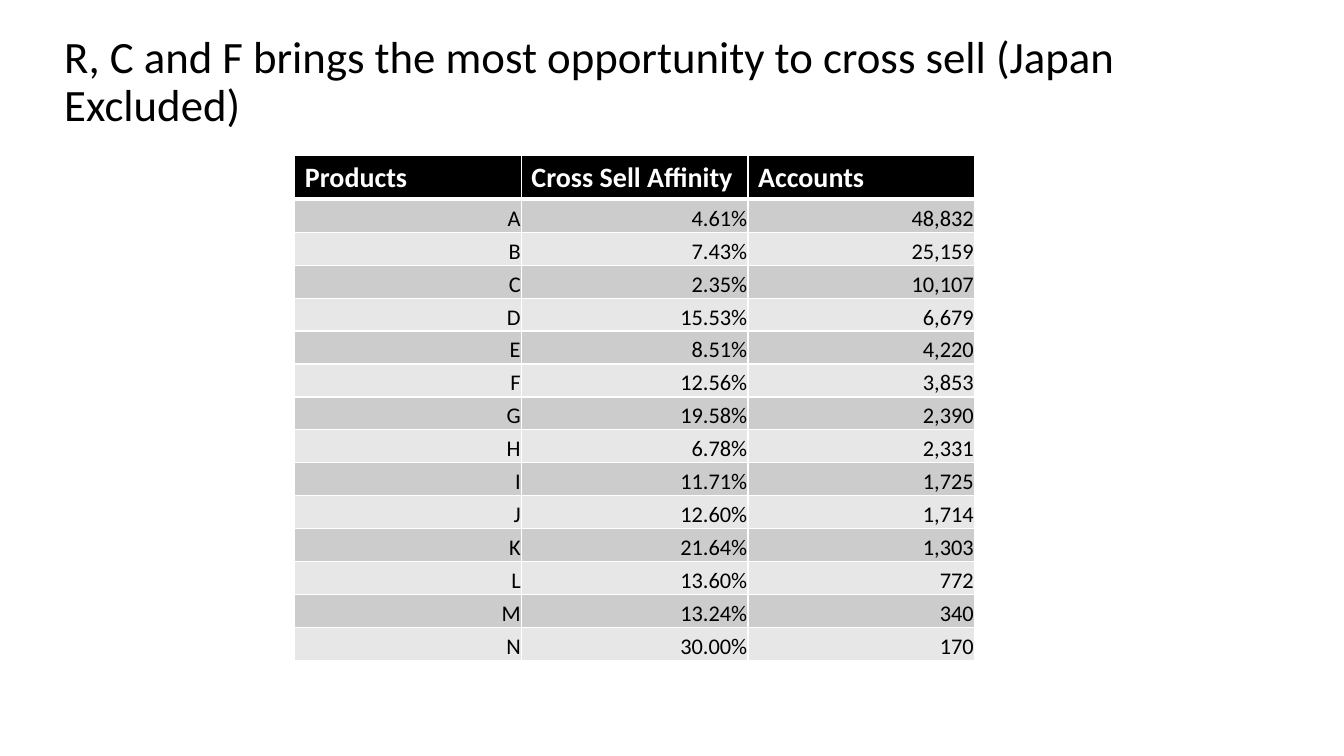
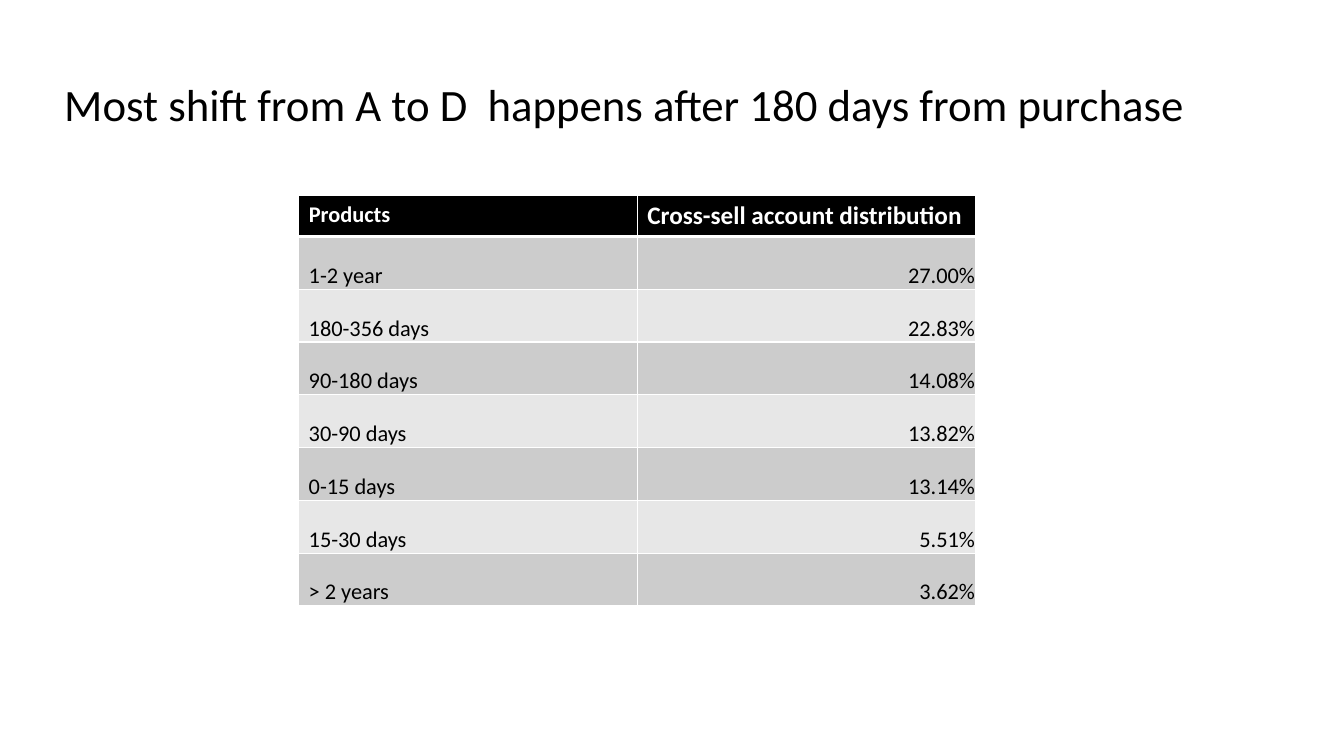
from lxml.etree import SubElement
from pptx import Presentation
from pptx.dml.color import RGBColor
from pptx.enum.text import MSO_ANCHOR, PP_ALIGN
from pptx.oxml.ns import qn
from pptx.util import Cm, Pt

COLOURS = {
    "text": "000000",
    "header": "000000",
    "header_text": "FFFFFF",
    "odd_row": "CCCCCC",
    "even_row": "E7E7E7",
    "border": "FFFFFF",
}
FONT = "Calibri"
TITLE_SIZE = 32
BODY_SIZE = 16
THIN, THICK = 1, 3
INDENT = Cm(0.25)
TITLE_FRAME = {"word_wrap": True, "vertical_anchor": MSO_ANCHOR.MIDDLE}
HEADER_CELL = {"vertical_anchor": MSO_ANCHOR.TOP}
BODY_CELL = {
    "vertical_anchor": MSO_ANCHOR.BOTTOM,
    "margin_left": Cm(0.02),
    "margin_top": Cm(0.02),
    "margin_right": Cm(0.02),
    "margin_bottom": Cm(0),
}
LABEL_CELL = {**BODY_CELL, "margin_left": INDENT}

AFFINITY = [
    ("A", "4.61%", "48,832"),
    ("B", "7.43%", "25,159"),
    ("C", "2.35%", "10,107"),
    ("D", "15.53%", "6,679"),
    ("E", "8.51%", "4,220"),
    ("F", "12.56%", "3,853"),
    ("G", "19.58%", "2,390"),
    ("H", "6.78%", "2,331"),
    ("I", "11.71%", "1,725"),
    ("J", "12.60%", "1,714"),
    ("K", "21.64%", "1,303"),
    ("L", "13.60%", "772"),
    ("M", "13.24%", "340"),
    ("N", "30.00%", "170"),
]
DISTRIBUTION = [
    ("1-2 year", "27.00%"),
    ("180-356 days", "22.83%"),
    ("90-180 days", "14.08%"),
    ("30-90 days", "13.82%"),
    ("0-15 days", "13.14%"),
    ("15-30 days", "5.51%"),
    ("> 2 years", "3.62%"),
]


def assign(target, values):
    for name, value in values.items():
        setattr(target, name, value)


class SlideBuilder:
    def __init__(self):
        self.deck = Presentation()
        assign(self.deck, {"slide_width": Cm(33.87), "slide_height": Cm(19.05)})
        self.page = None

    def add_page(self):
        self.page = self.deck.slides.add_slide(self.deck.slide_layouts[6])

    def add_text(self, frame, text, size, colour, bold=False, **para_format):
        para = frame.paragraphs[0]
        assign(para, para_format)
        span = para.add_run()
        span.text = text
        assign(span.font, {"name": FONT, "size": Pt(size), "bold": bold})
        span.font.color.rgb = RGBColor.from_string(COLOURS[colour])

    def add_title(self, text, top):
        box = self.page.shapes.add_textbox(Cm(1.37), Cm(top), Cm(31.14), Cm(2.87))
        assign(box.text_frame, TITLE_FRAME)
        self.add_text(box.text_frame, text, TITLE_SIZE, "text", line_spacing=0.9)

    def style_cell(self, cell, fill, top, bottom):
        properties = cell._tc.get_or_add_tcPr()
        widths = {"a:lnL": THIN, "a:lnR": THIN, "a:lnT": top, "a:lnB": bottom}
        for side, width in widths.items():
            line = SubElement(properties, qn(side), w=str(Pt(width)))
            solid = SubElement(line, qn("a:solidFill"))
            SubElement(solid, qn("a:srgbClr"), val=COLOURS["border"])
        cell.fill.solid()
        cell.fill.fore_color.rgb = RGBColor.from_string(COLOURS[fill])

    def add_header(self, cell, text, size):
        self.style_cell(cell, "header", THIN, THICK)
        assign(cell, HEADER_CELL)
        self.add_text(cell.text_frame, text, size, "header_text", bold=True)

    def add_value(self, cell, text, number, is_label):
        fill = "odd_row" if number % 2 else "even_row"
        self.style_cell(cell, fill, THICK if number == 1 else THIN, THIN)
        assign(cell, LABEL_CELL if is_label else BODY_CELL)
        alignment = PP_ALIGN.LEFT if is_label else PP_ALIGN.RIGHT
        self.add_text(cell.text_frame, text, BODY_SIZE, "text", alignment=alignment)

    def add_table(self, headers, rows, left, top, column_width, header_height,
                  row_height, left_labels=False):
        height = header_height + row_height * len(rows)
        table = self.page.shapes.add_table(
            len(rows) + 1, len(headers), Cm(left), Cm(top),
            Cm(column_width * len(headers)), Cm(height)).table
        for column in table.columns:
            column.width = Cm(column_width)
        for number, row in enumerate(table.rows):
            row.height = Cm(row_height if number else header_height)
        for index, (text, size) in enumerate(headers):
            self.add_header(table.cell(0, index), text, size)
        for number, values in enumerate(rows, 1):
            for index, text in enumerate(values):
                self.add_value(table.cell(number, index), text, number,
                               left_labels and index == 0)


def main():
    builder = SlideBuilder()

    builder.add_page()
    builder.add_title("R, C and F brings the most opportunity to cross sell "
                      "(Japan Excluded)", 0.66)
    builder.add_table(
        [("Products", 20), ("Cross Sell Affinity", 20), ("Accounts", 20)],
        AFFINITY, left=7.43, top=3.92, column_width=5.71,
        header_height=1.1, row_height=0.83)

    builder.add_page()
    builder.add_title("Most shift from A to D  happens after 180 days "
                      "from purchase", 1.25)
    builder.add_table(
        [("Products", 16), ("Cross-sell account distribution", 18)],
        DISTRIBUTION, left=7.53, top=4.93, column_width=8.53,
        header_height=1.03, row_height=1.33, left_labels=True)

    builder.deck.save("out.pptx")


if __name__ == "__main__":
    main()
